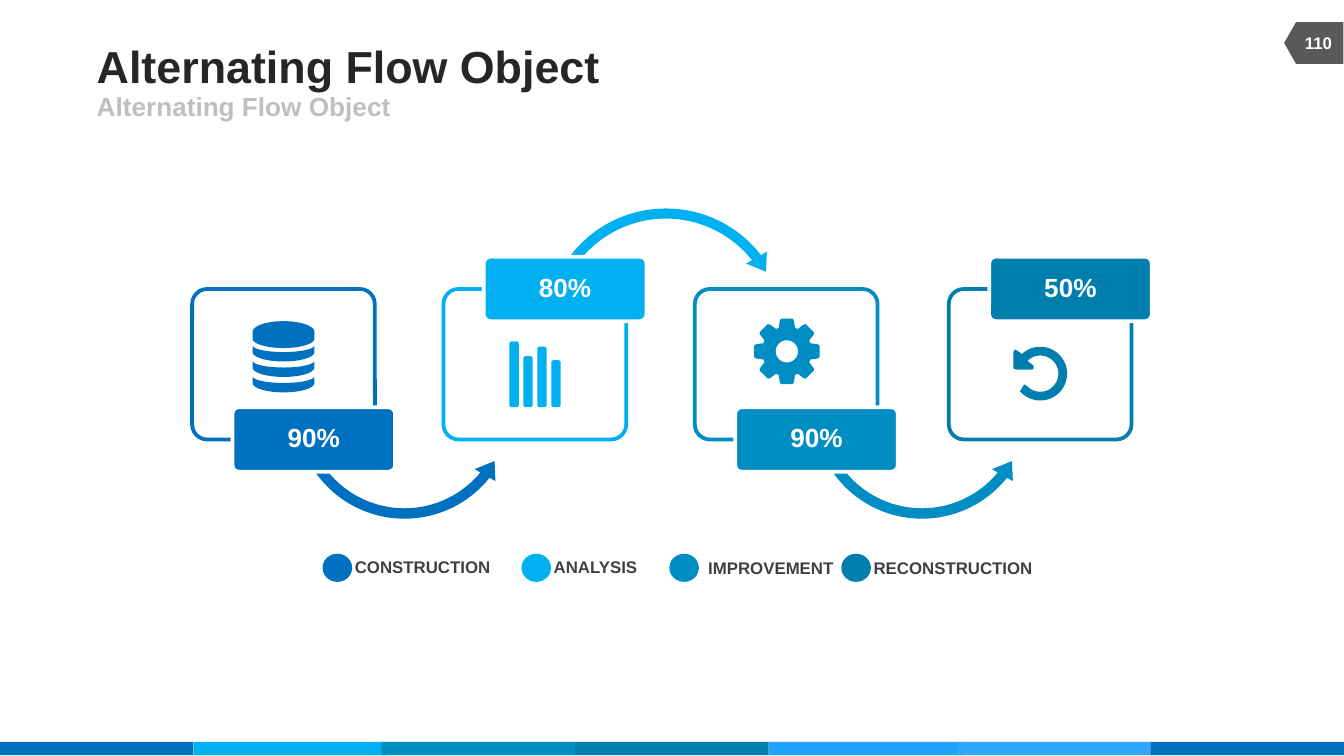
from math import cos, radians, sin

from pptx import Presentation
from pptx.dml.color import RGBColor
from pptx.enum.shapes import MSO_SHAPE as Shape
from pptx.enum.text import MSO_ANCHOR as Anchor, PP_ALIGN as Align
from pptx.util import Inches, Pt

BLUE, SKY, TEAL, DEEP = "0070C0", "00B0F0", "008DC3", "007EAE"
WHITE = "FFFFFF"
FOOTER = [(0, BLUE), (1.44, SKY), (2.84, TEAL), (4.28, DEEP),
          (5.72, "23A1FF"), (7.12, "2FA6FF"), (8.56, BLUE)]
STEPS = [(1.43, 3.03, "90%", BLUE), (3.3, 1.91, "80%", SKY),
         (5.17, 3.03, "90%", TEAL), (7.06, 1.91, "50%", DEEP)]
LEGEND = [(2.4, 2.64, 4.14, 1.02, "CONSTRUCTION", BLUE),
          (3.88, 4.12, 4.14, 0.64, "ANALYSIS", SKY),
          (4.98, 5.27, 4.15, 0.94, "IMPROVEMENT", TEAL),
          (6.26, 6.5, 4.15, 1.19, "RECONSTRUCTION", DEEP)]
LEFT_ARROW = [0.045, 5.658, 23.414, 90.245, 0.052]
RIGHT_ARROW = [0.04, 5.09, 193.155, 125.755, 0.047]


def rgb(color):
    return RGBColor.from_string(color)


def paint(shape, fill=None, line=None):
    shape.shadow.inherit = False
    if fill:
        shape.fill.solid()
        shape.fill.fore_color.rgb = rgb(fill)
    else:
        shape.fill.background()
    if line:
        shape.line.color.rgb = rgb(line)
        shape.line.width = Pt(2)
    else:
        shape.line.fill.background()


def add_preset(slide, preset, x, y, w, h, fill=None, line=None, adjust=()):
    shape = slide.shapes.add_shape(preset, Inches(x), Inches(y), Inches(w), Inches(h))
    for index, value in enumerate(adjust):
        shape.adjustments[index] = value
    paint(shape, fill, line)
    return shape


def write(shape, text, size, color, align=Align.LEFT, anchor=Anchor.MIDDLE, inset=(0, 0), wrap=False):
    frame = shape.text_frame
    frame.text = text
    frame.word_wrap = wrap
    frame.vertical_anchor = anchor
    frame.margin_left = frame.margin_right = Inches(inset[0])
    frame.margin_top = frame.margin_bottom = Inches(inset[1])
    paragraph = frame.paragraphs[0]
    paragraph.alignment = align
    font = paragraph.runs[0].font
    font.name, font.size, font.bold = "Arial", Pt(size), True
    font.color.rgb = rgb(color)
    return paragraph


def add_label(slide, x, y, w, h, text, size, color, **layout):
    box = slide.shapes.add_textbox(Inches(x), Inches(y), Inches(w), Inches(h))
    write(box, text, size, color, **layout)


def arc(cx, cy, rx, ry, start, end, count=36):
    angles = [radians(start + (end - start) * i / count) for i in range(count + 1)]
    return [(cx + rx * cos(a), cy + ry * sin(a)) for a in angles]


def add_outline(slide, contours, fill):
    builder = None
    for contour in contours:
        first, *rest = [(Inches(x), Inches(y)) for x, y in contour]
        if builder is None:
            builder = slide.shapes.build_freeform(*first)
        else:
            builder.move_to(*first)
        builder.add_line_segments(rest, close=True)
    paint(builder.convert_to_shape(), fill)


def add_database(slide):
    def disk(top, sag):
        return arc(2.11, top + 0.05, 0.23, 0.07, 0, 180) + arc(2.11, top, 0.23, sag, 180, 0)

    bands = [disk(2.57 + 0.115 * i, 0.05) for i in range(3)]
    add_outline(slide, [disk(2.47, -0.08)] + bands, BLUE)


def add_bars(slide):
    for i, top in enumerate([2.54, 2.65, 2.58, 2.68]):
        add_preset(slide, Shape.ROUNDED_RECTANGLE, 3.79 + 0.104 * i, top, 0.07, 3.03 - top, SKY, adjust=[0.25])


def add_gear(slide):
    cx, cy = 5.855, 2.615
    teeth = [(cx + r * cos(radians(45 * i + turn)), cy + r * sin(radians(45 * i + turn)))
             for i in range(8)
             for turn, r in [(-19, 0.185), (-13, 0.235), (-10, 0.247), (10, 0.247), (13, 0.235), (19, 0.185)]]
    add_outline(slide, [teeth, arc(cx, cy, 0.083, 0.083, 360, 0)], TEAL)


def add_undo(slide):
    head = [(7.57, 2.61), (7.55, 2.6), (7.54, 2.62), (7.54, 2.74), (7.56, 2.75),
            (7.68, 2.75), (7.69, 2.74), (7.69, 2.72)]
    ring = arc(7.74, 2.78, 0.2, 0.2, 139, -133)
    hollow = arc(7.74, 2.78, 0.135, 0.135, -135, 137)
    add_outline(slide, [ring + head + hollow + [(7.62, 2.86)]], DEEP)


def add_step(slide, x, badge_top, percent, color):
    add_preset(slide, Shape.ROUNDED_RECTANGLE, x, 2.15, 1.36, 1.12, line=color, adjust=[0.1])
    badge = add_preset(slide, Shape.ROUNDED_RECTANGLE, x + 0.3, badge_top, 1.21, 0.48, color, WHITE, [0.1])
    paragraph = write(badge, percent, 14, WHITE, Align.CENTER, inset=(0.07, 0.05), wrap=True)
    paragraph.line_spacing = 0.9


def add_legend_entry(slide, dot_x, text_x, text_y, width, name, color):
    add_label(slide, text_x, text_y, width, 0.15, name, 9, "404040", anchor=Anchor.TOP)
    add_preset(slide, Shape.OVAL, dot_x, 4.12, 0.22, 0.21, color)


def add_frame(slide):
    for x, color in FOOTER:
        add_preset(slide, Shape.RECTANGLE, x, 5.52, 1.44, 0.1, color)
    page_tag = add_preset(slide, Shape.FLOWCHART_OFFPAGE_CONNECTOR, 9.62, 0.1, 0.31, 0.44, "595959")
    page_tag.rotation = 90
    add_label(slide, 0.72, 0.29, 6.17, 0.39, "Alternating Flow Object", 24, "262626")
    add_label(slide, 0.72, 0.68, 4.5, 0.22, "Alternating Flow Object", 14, "BFBFBF")
    add_label(slide, 9.6, 0.17, 0.42, 0.3, "110", 9, WHITE, align=Align.CENTER, inset=(0.1, 0.05), wrap=True)


def main():
    deck = Presentation()
    deck.slide_width, deck.slide_height = Inches(10), Inches(5.625)
    slide = deck.slides.add_slide(deck.slide_layouts[6])
    add_frame(slide)
    for entry in LEGEND:
        add_legend_entry(slide, *entry)
    for x, color in [(6, TEAL), (2.15, BLUE)]:
        add_preset(slide, Shape.LEFT_CIRCULAR_ARROW, x, 2.19, 1.72, 1.72, color, adjust=LEFT_ARROW)
    add_preset(slide, Shape.CIRCULAR_ARROW, 4.01, 1.5, 1.89, 1.89, SKY, adjust=RIGHT_ARROW)
    for step in STEPS:
        add_step(slide, *step)
    for add_icon in (add_database, add_bars, add_gear, add_undo):
        add_icon(slide)
    deck.save("out.pptx")


if __name__ == "__main__":
    main()
